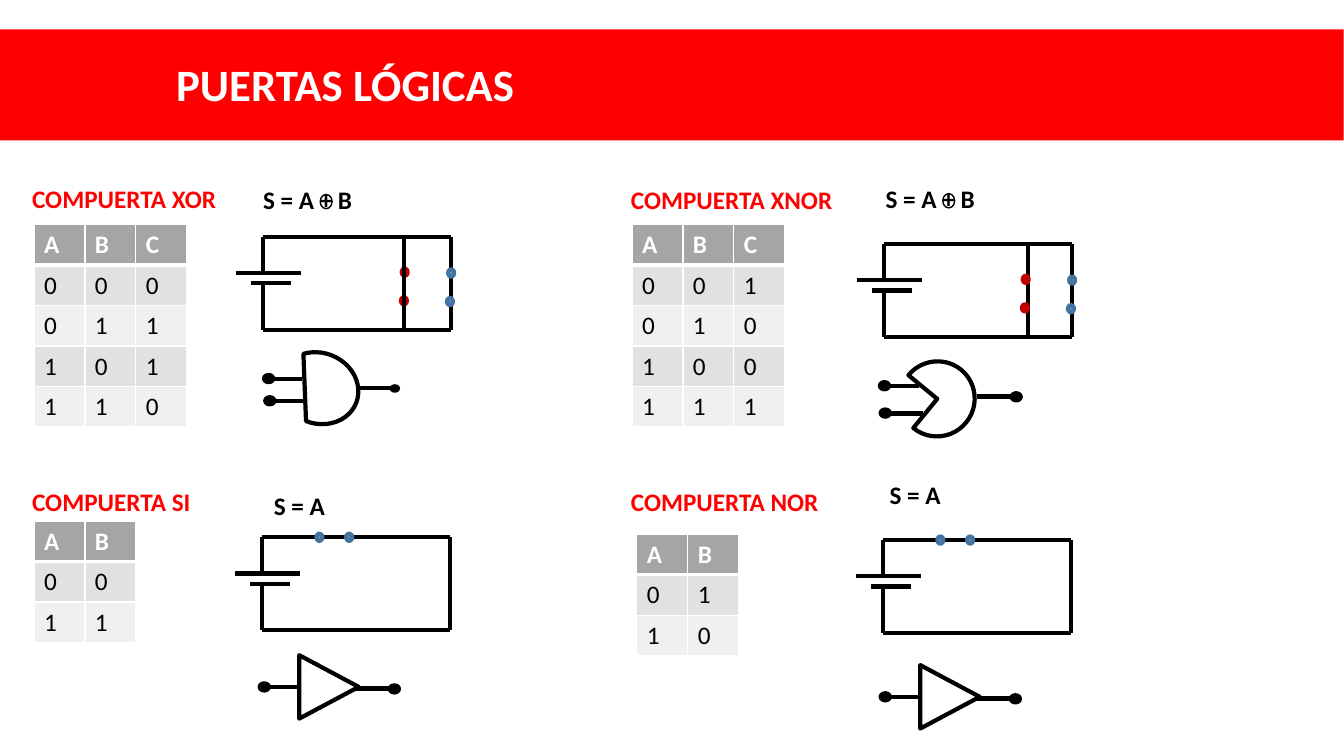
import pptx
import pptx.util
import pptx.dml.color
import pptx.enum.shapes
import pptx.enum.text
import pptx.oxml
import pptx.oxml.ns
from pptx.util import Cm

SHAPE = pptx.enum.shapes.MSO_SHAPE
RED, BLACK, WHITE = "FF0000", "000000", "FFFFFF"
BLUE_CONTACT, RED_CONTACT = ("5B9BD5", "43739E"), ("C00000", "C00000")

# All lengths are centimetres. Parts of a circuit are offsets from its top left
# corner; parts of a symbol are offsets from the centre of its body.
CIRCUIT_WIRES = [
    (0, 0, 4.75, 0), (0, 2.34, 4.75, 2.34), (4.75, 2.34, 4.75, 0),
    (0, 2.34, 0, 1.17), (0, 0.91, 0, 0),
    (-0.68, 0.91, 0.97, 0.91), (-0.3, 1.17, 0.71, 1.17),
]
SERIES_CONTACTS = [(1.45, 0, BLUE_CONTACT), (2.2, 0, BLUE_CONTACT)]
PARALLEL_CONTACTS = [
    (4.72, 1.63, BLUE_CONTACT), (4.75, 0.91, BLUE_CONTACT),
    (3.56, 1.61, RED_CONTACT), (3.58, 0.89, RED_CONTACT),
]

# Symbol: preset, width, height, rotation, wires, terminals (x, y, line width)
XOR_SYMBOL = (SHAPE.CHORD, 2.03, 1.78, 201,
              [(1.04, 0, 1.98, 0), (-1.35, -0.23, -0.41, -0.23), (-1.27, 0.33, -0.3, 0.33)],
              [(-1.23, 0.32, 3), (-1.26, -0.24, 3), (1.92, 0.01, 1)])
XNOR_SYMBOL = (SHAPE.PIE, 1.88, 1.9, 219.4,
               [(0.99, -0.06, 1.93, -0.06), (-1.42, -0.32, -0.46, -0.32),
                (-1.32, 0.37, -0.36, 0.37)],
               [(-1.31, 0.36, 3), (-1.33, -0.33, 3), (1.99, -0.05, 3)])
BUFFER_SYMBOL = (SHAPE.ISOSCELES_TRIANGLE, 1.6, 1.5, 90,
                 [(0.65, 0.04, 1.59, 0.04), (-1.66, 0.01, -0.7, 0.01)],
                 [(-1.63, 0, 3), (1.65, 0.05, 3)])

# branch: x of the inner wire and whether it lies over the contacts
GATES = [
    dict(name="COMPUERTA XOR", name_at=(0.56, 4.5), formula="S = A + B", formula_at=(6.38, 4.52),
         rows=["ABC", "000", "011", "101", "110"], table_at=(0.86, 5.66),
         circuit_at=(6.62, 5.97), contacts=PARALLEL_CONTACTS, branch=(3.56, True),
         symbol=XOR_SYMBOL, symbol_at=(8.03, 9.78)),
    dict(name="COMPUERTA XNOR", name_at=(15.65, 4.52), formula="S = A + B", formula_at=(22.07, 4.5),
         rows=["ABC", "001", "010", "100", "111"], table_at=(15.93, 5.66),
         circuit_at=(22.27, 6.15), contacts=PARALLEL_CONTACTS, branch=(3.63, False),
         symbol=XNOR_SYMBOL, symbol_at=(23.62, 10.05)),
    dict(name="COMPUERTA SI", name_at=(0.56, 12.12), formula="S = A", formula_at=(6.65, 12.22),
         rows=["AB", "00", "11"], table_at=(0.86, 13.13),
         circuit_at=(6.6, 13.54), contacts=SERIES_CONTACTS, branch=None,
         symbol=BUFFER_SYMBOL, symbol_at=(8.29, 17.31)),
    dict(name="COMPUERTA NOR", name_at=(15.65, 12.12), formula="S = A", formula_at=(22.17, 11.96),
         rows=["AB", "01", "10"], table_at=(16.05, 13.46),
         circuit_at=(22.25, 13.61), contacts=SERIES_CONTACTS, branch=None,
         symbol=BUFFER_SYMBOL, symbol_at=(23.94, 17.56)),
]
COLUMN_WIDTH, ROW_HEIGHT = 1.28, 1.02


def color(hex_string):
    return pptx.dml.color.RGBColor.from_string(hex_string)


def add_run(paragraph, text, size, hex_string, bold=True):
    run = paragraph.add_run()
    run.text = text
    run.font.name = "Calibri"
    run.font.size = pptx.util.Pt(size)
    run.font.bold = bold
    run.font.color.rgb = color(hex_string)


def add_text(slide, left, top, width, height, text, size, hex_string):
    frame = slide.shapes.add_textbox(Cm(left), Cm(top), Cm(width), Cm(height)).text_frame
    frame.word_wrap = True
    paragraph = frame.paragraphs[0]
    paragraph.alignment = pptx.enum.text.PP_ALIGN.JUSTIFY
    add_run(paragraph, text, size, hex_string)


def add_centred(slide, preset, x, y, width, height, fill=None, line=BLACK, weight=3, rotation=0):
    """Add a preset shape by its centre; without a fill or line colour it has none."""
    shape = slide.shapes.add_shape(preset, Cm(x - width / 2), Cm(y - height / 2),
                                   Cm(width), Cm(height))
    shape.shadow.inherit = False
    shape.rotation = rotation
    if fill:
        shape.fill.solid()
        shape.fill.fore_color.rgb = color(fill)
    else:
        shape.fill.background()
    if line:
        shape.line.color.rgb = color(line)
        shape.line.width = pptx.util.Pt(weight)
    else:
        shape.line.fill.background()


def add_wire(slide, origin, wire):
    x, y = origin
    x1, y1, x2, y2 = wire
    connector = slide.shapes.add_connector(pptx.enum.shapes.MSO_CONNECTOR.STRAIGHT,
                                           Cm(x + x1), Cm(y + y1), Cm(x + x2), Cm(y + y2))
    connector.line.color.rgb = color(BLACK)
    connector.line.width = pptx.util.Pt(3)
    properties = connector._element.spPr
    properties.append(pptx.oxml.parse_xml(
        f'<a:effectLst {pptx.oxml.ns.nsdecls("a")}/>'))


def set_borders(cell, row_index):
    weights = {"lnL": 1, "lnR": 1, "lnT": 3 if row_index == 1 else 1,
               "lnB": 3 if row_index == 0 else 1}
    properties = cell._tc.get_or_add_tcPr()
    for position, (tag, weight) in enumerate(weights.items()):
        properties.insert(position, pptx.oxml.parse_xml(
            f'<a:{tag} {pptx.oxml.ns.nsdecls("a")} w="{weight * 12700}"><a:solidFill>'
            f'<a:srgbClr val="{WHITE}"/></a:solidFill></a:{tag}>'))


def add_truth_table(slide, rows, left, top):
    table = slide.shapes.add_table(len(rows), len(rows[0]), Cm(left), Cm(top),
                                   Cm(COLUMN_WIDTH * len(rows[0])),
                                   Cm(ROW_HEIGHT * len(rows))).table
    for column in table.columns:
        column.width = Cm(COLUMN_WIDTH)
    for row_index, row in enumerate(rows):
        table.rows[row_index].height = Cm(ROW_HEIGHT)
        header = row_index == 0
        fill = "A5A5A5" if header else ("F0F0F0", "E1E1E1")[row_index % 2]
        for column_index, value in enumerate(row):
            cell = table.cell(row_index, column_index)
            cell.fill.solid()
            cell.fill.fore_color.rgb = color(fill)
            set_borders(cell, row_index)
            add_run(cell.text_frame.paragraphs[0], value, 18,
                    WHITE if header else BLACK, header)


def add_circuit(slide, origin, contacts, branch):
    x, y = origin
    wires = list(CIRCUIT_WIRES)
    front_wires = []
    if branch:
        branch_x, in_front = branch
        (front_wires if in_front else wires).append((branch_x, 0, branch_x, 2.34))
    for wire in wires:
        add_wire(slide, origin, wire)
    for contact_x, contact_y, (fill, line) in contacts:
        add_centred(slide, SHAPE.OVAL, x + contact_x, y + contact_y, 0.15, 0.18, fill, line)
    for wire in front_wires:
        add_wire(slide, origin, wire)


def add_symbol(slide, origin, symbol):
    x, y = origin
    preset, width, height, rotation, wires, terminals = symbol
    add_centred(slide, preset, x, y, width, height, rotation=rotation)
    for wire in wires:
        add_wire(slide, origin, wire)
    for terminal_x, terminal_y, weight in terminals:
        add_centred(slide, SHAPE.OVAL, x + terminal_x, y + terminal_y, 0.23, 0.18,
                    BLACK, BLACK, weight)


def main():
    presentation = pptx.Presentation()
    presentation.slide_width, presentation.slide_height = Cm(33.87), Cm(19.05)
    slide = presentation.slides.add_slide(presentation.slide_layouts[6])
    add_centred(slide, SHAPE.RECTANGLE, 16.93, 2.14, 33.87, 2.8, RED, None)
    add_text(slide, 4.19, 1.3, 28.58, 1.63, "PUERTAS LÓGICAS", 32, WHITE)
    for gate in GATES:
        add_text(slide, *gate["name_at"], 6.5, 1.02, gate["name"], 18, RED)
        add_text(slide, *gate["formula_at"], 6.5, 1.02, gate["formula"], 18, BLACK)
        if "+" in gate["formula"]:
            left, top = gate["formula_at"]
            add_centred(slide, SHAPE.OVAL, left + 1.84, top + 0.56, 0.3, 0.36, weight=1)
        add_truth_table(slide, gate["rows"], *gate["table_at"])
        add_circuit(slide, gate["circuit_at"], gate["contacts"], gate["branch"])
        add_symbol(slide, gate["symbol_at"], gate["symbol"])
    presentation.save("out.pptx")


if __name__ == "__main__":
    main()
